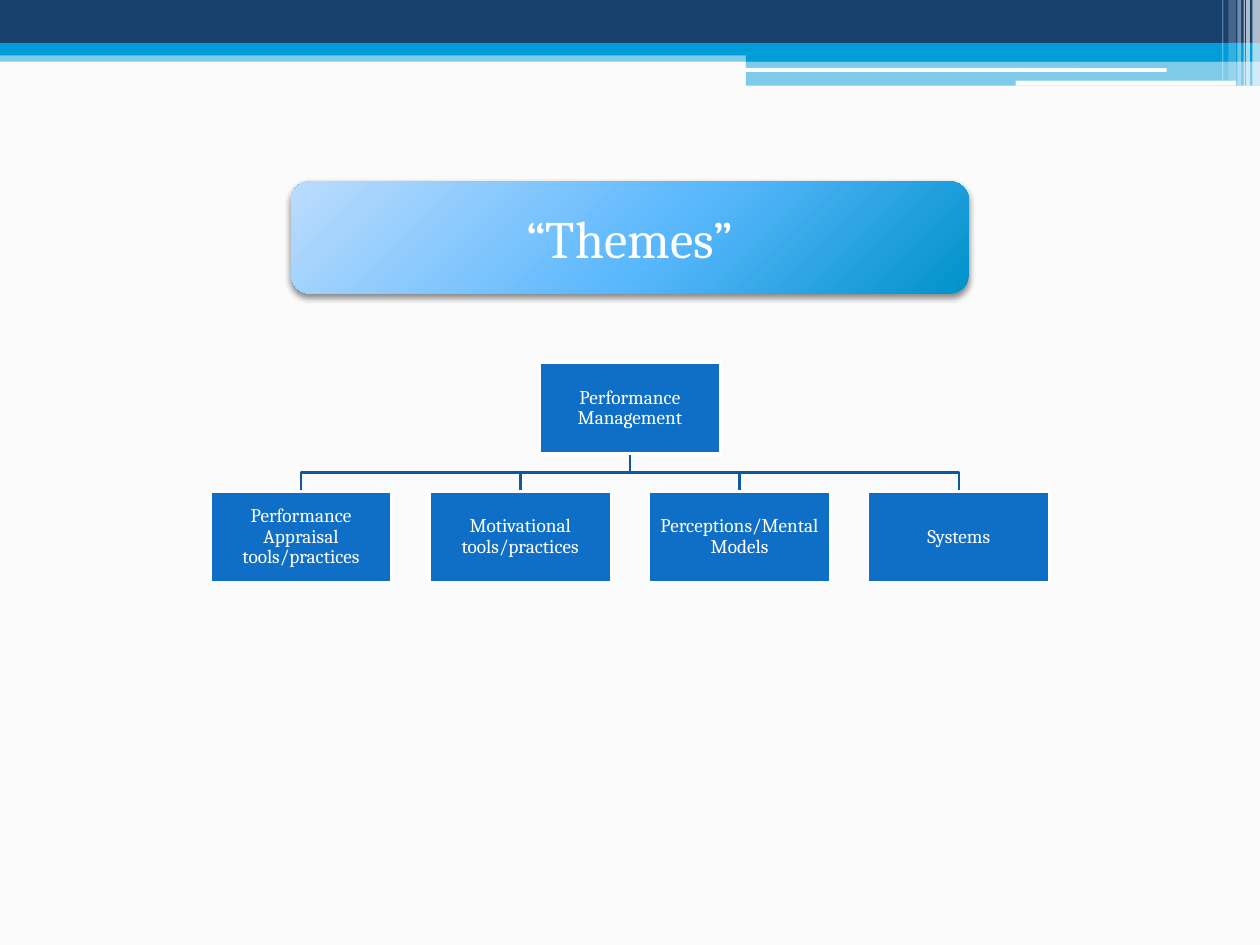
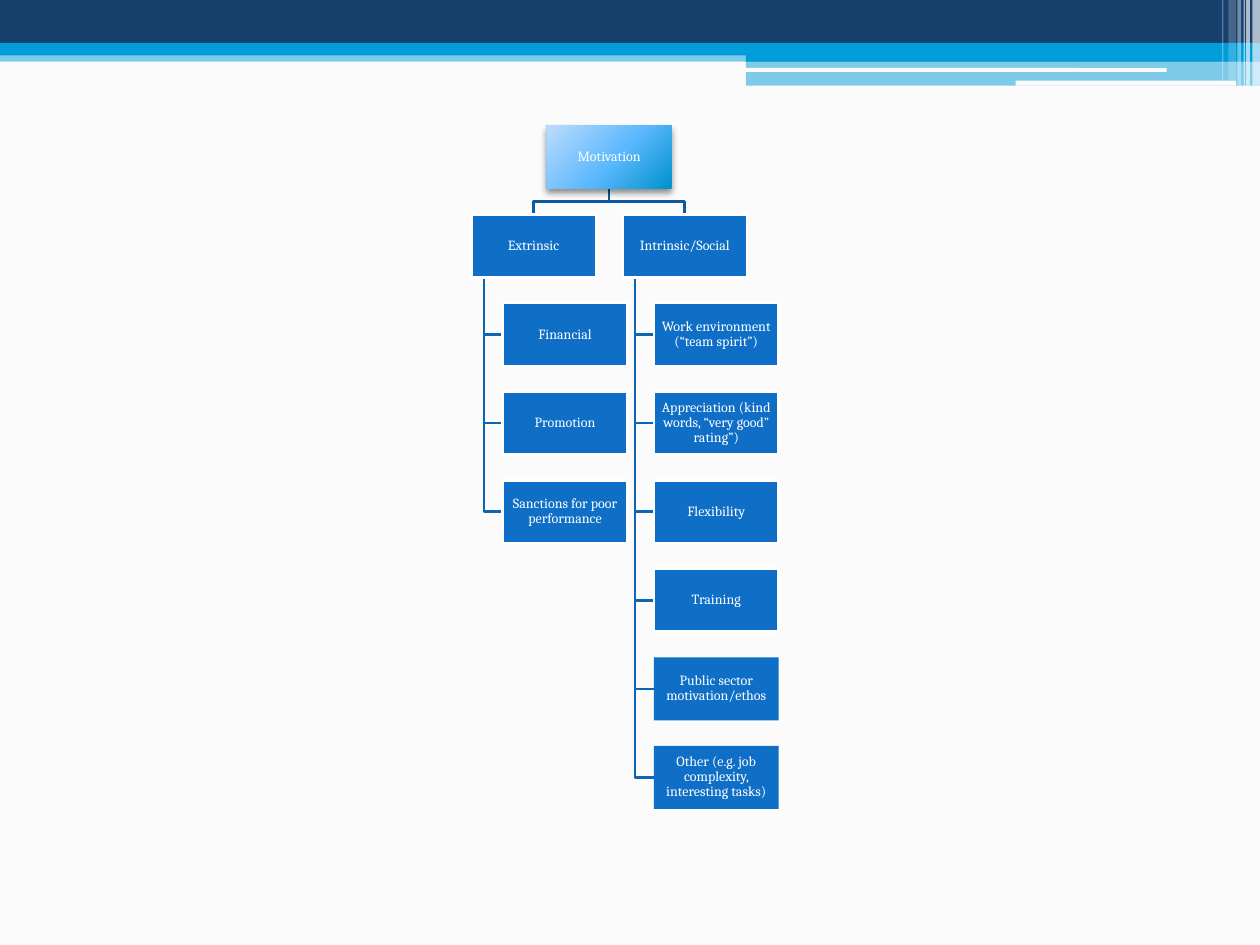
from pptx import Presentation
from pptx.util import Inches, Pt
from pptx.dml.color import RGBColor
from pptx.enum.shapes import MSO_SHAPE
from pptx.enum.text import PP_ALIGN, MSO_ANCHOR
from pptx.oxml import parse_xml
from pptx.oxml.ns import nsdecls
from lxml.etree import SubElement

WIDE, HIGH = 10, 7.5
INK = {"page": "FBFBFB", "navy": "17406D", "sky": "009DD9", "white": "FFFFFF",
       "box": "0F6FC6", "stem": "0C599F", "twig": "0E65B4", "black": "000000"}
FADE = [(0, "BBDCFD"), (55, "59B7FD"), (100, "0092CA")]
FONT = "Cambria"

BANDS = [
    ((0, 0.4, WIDE, 0.09), "sky", 50, False),
    ((0, 0, WIDE, 0.34), "navy", 100, False),
    ((0, 0.34, WIDE, 0.1), "sky", 100, False),
    ((5.92, 0.39, 4.08, 0.1), "sky", 100, False),
    ((5.92, 0.48, 4.08, 0.2), "sky", 50, False),
    ((5.91, 0.54, 3.35, 0.03), "page", 100, True),
    ((8.06, 0.64, 1.75, 0.04), "page", 100, True),
    ((9.94, 0, 0.06, 0.68), "white", 65, False),
    ((9.89, 0, 0.03, 0.68), "white", 65, False),
    ((9.87, 0, 0.01, 0.68), "white", 60, False),
    ((9.82, 0, 0.03, 0.68), "white", 40, False),
    ((9.75, 0, 0.06, 0.64), "white", 20, False),
    ((9.7, 0, 0.01, 0.64), "white", 30, False),
]

TITLE = "“Themes”"
THEMES = ("Performance Management", [
    "Performance Appraisal tools/practices", "Motivational tools/practices",
    "Perceptions/Mental Models", "Systems"])
DRIVES = ("Motivation", [
    ("Extrinsic", ["Financial", "Promotion", "Sanctions for poor performance"]),
    ("Intrinsic/Social", [
        "Work environment (“team spirit”)",
        "Appreciation (kind words, “very good” rating”)", "Flexibility",
        "Training", "Public sector motivation/ethos",
        "Other (e.g. job complexity, interesting tasks)"])])
BARE = DRIVES[1][1][1][-2:]


def tint(name):
    return RGBColor.from_string(INK[name])


def assign(item, values):
    for key, value in values.items():
        setattr(item, key, value)


def block(page, area, color, alpha=100, edge=None, round=False):
    kind = MSO_SHAPE.ROUNDED_RECTANGLE if round else MSO_SHAPE.RECTANGLE
    shape = page.shapes.add_shape(kind, *map(Inches, area))
    shape.shadow.inherit = False
    shape.fill.solid()
    shape.fill.fore_color.rgb = tint(color)
    if alpha < 100:
        dye = shape.element.spPr.find(".//{*}srgbClr")
        SubElement(dye, dye.tag.replace("srgbClr", "alpha"), val=str(alpha * 1000))
    if edge:
        shape.line.color.rgb = tint(edge)
        shape.line.width = Pt(1.5)
    else:
        shape.line.fill.background()
    return shape


def write(shape, text, size, inset=0.01, pitch=0.9):
    frame = shape.text_frame
    assign(frame, {"word_wrap": True, "vertical_anchor": MSO_ANCHOR.MIDDLE})
    if inset:
        sides = ("left", "right", "top", "bottom")
        assign(frame, {"margin_" + side: Inches(inset) for side in sides})
    para = frame.paragraphs[0]
    assign(para, {"text": text, "alignment": PP_ALIGN.CENTER, "line_spacing": pitch})
    assign(para.runs[0].font, {"size": Pt(size), "name": FONT})
    para.runs[0].font.color.rgb = tint("white")


def gloss(shape):
    stops = "".join(f'<a:gs pos="{pos * 1000}"><a:srgbClr val="{hue}"/></a:gs>'
                    for pos, hue in FADE)
    props = shape.element.spPr
    props.replace(props.find("{*}solidFill"), parse_xml(
        f'<a:gradFill {nsdecls("a")} rotWithShape="1"><a:gsLst>{stops}</a:gsLst>'
        '<a:path path="circle"><a:fillToRect l="-40000" t="-90000" '
        'r="140000" b="190000"/></a:path></a:gradFill>'))
    props.find("{*}effectLst").append(parse_xml(
        f'<a:outerShdw {nsdecls("a")} blurRad="{Pt(4)}" dist="{Pt(2)}" '
        f'dir="5400000" rotWithShape="0"><a:srgbClr val="{INK["black"]}">'
        '<a:alpha val="45000"/></a:srgbClr></a:outerShdw>'))


def route(page, color, *spots):
    spots = [(Inches(x), Inches(y)) for x, y in spots]
    pen = page.shapes.build_freeform(*spots[0])
    pen.add_line_segments(spots[1:], close=False)
    shape = pen.convert_to_shape()
    shape.shadow.inherit = False
    shape.fill.background()
    shape.line.color.rgb = tint(color)
    shape.line.width = Pt(1.5)


def fork(page, x, top, ends, low):
    mid = (top + low) / 2
    for end in ends:
        route(page, "stem", (x, top), (x, mid), (end, mid), (end, low))


def start(deck):
    page = deck.slides.add_slide(deck.slide_layouts[6])
    for area, color, alpha, round in BANDS:
        block(page, area, color, alpha, round=round)
    return page


def themes(page):
    wide, high, step, top, low = 1.44, 0.72, 1.74, 2.88, 3.9
    root, kids = THEMES
    mid = WIDE / 2
    spots = [mid + (i - (len(kids) - 1) / 2) * step for i in range(len(kids))]
    fork(page, mid, top + high, spots, low)
    for text, x, y in [(root, mid, top)] + [(t, x, low) for t, x in zip(kids, spots)]:
        box = block(page, (x - wide / 2, y, wide, high), "box", edge="white")
        write(box, text, 11)
    span = 5.38
    head = block(page, (mid - span / 2, 1.44, span, 0.89), "sky", round=True)
    gloss(head)
    write(head, TITLE, 30, inset=None, pitch=1)


def drives(page):
    wide, high, step, left, top = 0.99, 0.5, 1.2, 3.74, 1
    rise = 4.92 / 7
    root, arms = DRIVES
    cols = [left + i * step for i in range(len(arms))]
    mid = left + (step + wide) / 2
    cells = []
    for (name, kids), x in zip(arms, cols):
        cells.append((name, x, top + rise))
        trunk, base = x + 0.1, top + rise + high
        for row, kid in enumerate(kids, 2):
            y = top + row * rise
            cells.append((kid, x + 0.25, y))
            route(page, "twig", (trunk, base), (trunk, y + high / 2),
                  (x + 0.25, y + high / 2))
    fork(page, mid, top + high, [x + wide / 2 for x in cols], top + rise)
    head = block(page, (mid - wide / 2, top, wide, high), "sky")
    gloss(head)
    write(head, root, 8)
    for text, x, y in cells:
        edge = None if text in BARE else "white"
        write(block(page, (x, y, wide, high), "box", edge=edge), text, 8)


deck = Presentation()
assign(deck, {"slide_width": Inches(WIDE), "slide_height": Inches(HIGH)})
back = deck.slide_master.background.fill
back.solid()
back.fore_color.rgb = tint("page")
for draw in (themes, drives):
    draw(start(deck))
deck.save("out.pptx")
